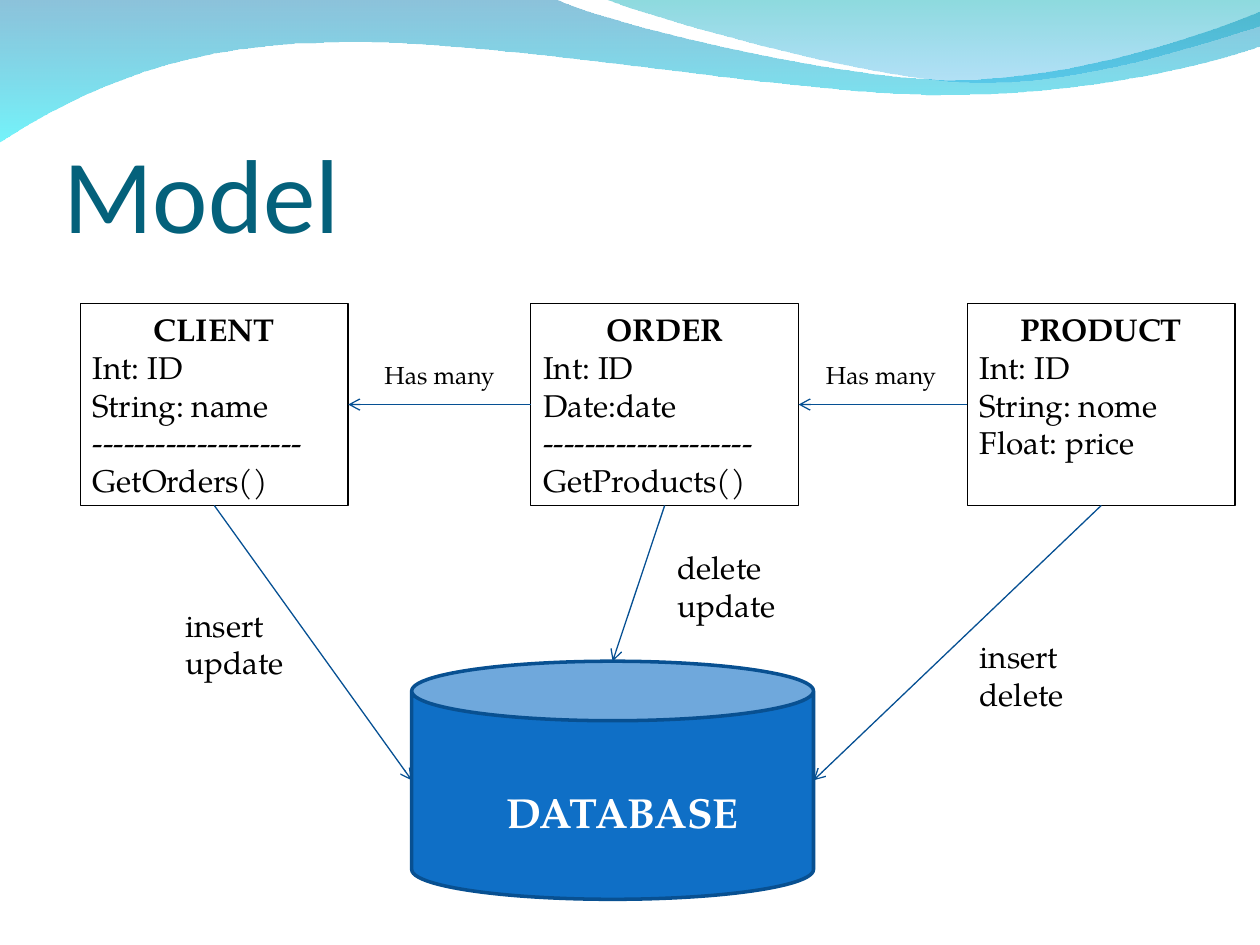
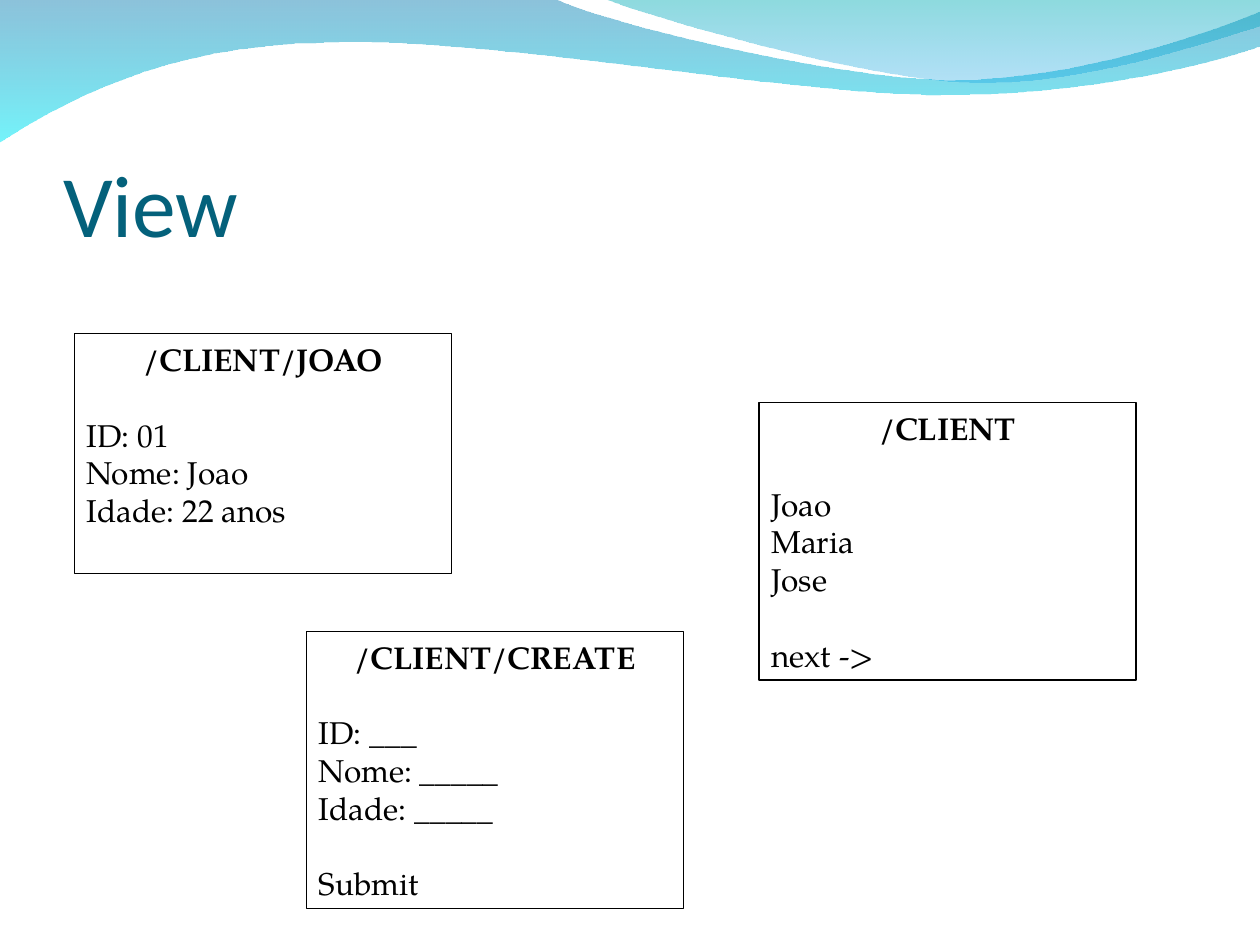
from dataclasses import dataclass

from lxml import etree
from pptx import Presentation
from pptx.dml.color import RGBColor
from pptx.enum.shapes import MSO_CONNECTOR, MSO_SHAPE
from pptx.enum.text import MSO_ANCHOR, MSO_AUTO_SIZE, PP_ALIGN
from pptx.oxml.ns import qn
from pptx.util import Cm, Pt

RECT, CAN = MSO_SHAPE.RECTANGLE, MSO_SHAPE.CAN
STRAIGHT = MSO_CONNECTOR.STRAIGHT
LEFT, CENTER = PP_ALIGN.LEFT, PP_ALIGN.CENTER
TOP, BOTTOM = MSO_ANCHOR.TOP, MSO_ANCHOR.BOTTOM
NO_FIT = MSO_AUTO_SIZE.NONE
SITE_LEFT, SITE_BOTTOM, SITE_RIGHT = 1, 2, 3
TITLE_ONLY = 5
WAVE_ID = 101


@dataclass(frozen=True)
class Theme:
    title_font: str = "Calibri"
    body_font: str = "TeX Gyre Pagella"
    title: str = "04617B"
    ink: str = "000000"
    white: str = "FFFFFF"
    arrow: str = "065093"
    store: str = "0F6FC6"
    store_edge: str = "085091"
    body_size: float = 18
    label_size: float = 14
    store_size: float = 24
    gap: float = 21.5
    thin: float = 0.75
    thick: float = 2


WAVES = [
    ([[(0, -0.03)], [(11.18, -0.03)],
      [(12.09, 0.43), (16.87, 1.6), (19.25, 1.6)],
      [(21.67, 1.6), (24.33, 0.66), (25.4, 0.23)],
      [(25.43, 0.91)],
      [(24.97, 1.12), (22.1, 1.93), (18.95, 1.91)],
      [(15.8, 1.91), (9.7, 0.71), (6.53, 0.86)],
      [(3.28, 0.89), (1.17, 2.11), (-0.03, 2.87)],
      [(0, -0.03)]],
     [("0079AF", 45), ("00EBF8", 55)]),
    ([[(12.17, -0.03)],
      [(12.93, 0.28), (17.32, 1.57), (19.53, 1.65)],
      [(21.74, 1.75), (24.41, 0.81), (25.4, 0.53)],
      [(25.4, 0)],
      [(12.17, -0.03)]],
     [("00ADB6", 45), ("009BE5", 30)]),
]


class Deck:
    def __init__(self, theme):
        self.theme = theme
        self.prs = Presentation()
        self.prs.slide_width, self.prs.slide_height = Cm(25.4), Cm(19.05)
        self.layout = self.prs.slide_layouts[TITLE_ONLY]
        self.s = None

    def slide(self, title, size):
        first = self.s is None
        self.s = self.prs.slides.add_slide(self.layout)
        if first:
            for layer, (outline, stops) in enumerate(WAVES):
                self.wave(outline, stops, layer)
        sp = self.s.shapes.title
        sp.left, sp.top, sp.width, sp.height = Cm(1.27), Cm(1.96), Cm(22.86), Cm(3.18)
        tf = self.frame(sp, BOTTOM, (0, 0.13, 0, 0))
        self.run(tf.paragraphs[0], title, size, self.theme.title, font=self.theme.title_font)

    def wave(self, outline, stops, layer):
        points = [(Cm(x), Cm(y)) for seg in outline for x, y in seg]
        builder = self.s.shapes.build_freeform(*points[0])
        builder.add_line_segments(points[1:], close=True)
        sp = builder.convert_to_shape()
        self.bend(sp, outline[1:])
        sp.shadow.inherit = False
        sp.line.fill.background()
        sp.fill.gradient()
        sp.fill.gradient_angle = 270
        for stop, (color, _) in zip(sp.fill.gradient_stops, stops):
            stop.color.rgb = RGBColor.from_string(color)
        for clr, (_, opacity) in zip(sp.element.iter(qn("a:srgbClr")), stops):
            etree.SubElement(clr, qn("a:alpha")).set("val", str(opacity * 1000))
        next(sp.element.iter(qn("p:cNvPr"))).set("id", str(WAVE_ID + layer))
        self.layout.shapes.element.insert(2 + layer, sp.element)

    def bend(self, sp, segments):
        lines = iter(list(sp.element.iter(qn("a:lnTo"))))
        for seg in segments:
            first, *rest = [next(lines) for _ in seg]
            if rest:
                curve = etree.Element(qn("a:cubicBezTo"))
                first.addprevious(curve)
                for line in (first, *rest):
                    curve.append(line[0])
                    line.getparent().remove(line)

    def frame(self, sp, anchor=TOP, insets=(0.25, 0.13, 0.25, 0.13)):
        tf = sp.text_frame
        tf.word_wrap = True
        tf.auto_size = NO_FIT
        tf.vertical_anchor = anchor
        tf.margin_left, tf.margin_top, tf.margin_right, tf.margin_bottom = map(Cm, insets)
        return tf

    def run(self, p, text, size, color, bold=False, align=LEFT, font=None):
        p.alignment = align
        r = p.add_run()
        r.text = text
        r.font.name = font or self.theme.body_font
        r.font.size = Pt(size)
        r.font.bold = bold
        r.font.color.rgb = RGBColor.from_string(color)

    def shape(self, kind, x, y, w, h, edge, weight, fill=None):
        sp = self.s.shapes.add_shape(kind, Cm(x), Cm(y), Cm(w), Cm(h))
        sp.shadow.inherit = False
        if fill:
            sp.fill.solid()
            sp.fill.fore_color.rgb = RGBColor.from_string(fill)
        else:
            sp.fill.background()
        sp.line.color.rgb = RGBColor.from_string(edge)
        sp.line.width = Pt(weight)
        return sp

    def card(self, x, y, w, h, heading, *groups):
        th = self.theme
        sp = self.shape(RECT, x, y, w, h, th.ink, th.thin)
        tf = self.frame(sp)
        self.run(tf.paragraphs[0], heading, th.body_size, th.ink, True, CENTER)
        for spaced, lines in groups:
            for i, line in enumerate(lines):
                p = tf.add_paragraph()
                if spaced and i == 0:
                    p.space_before = Pt(th.gap)
                self.run(p, line, th.body_size, th.ink)
        return sp

    def label(self, x, y, w, h, lines, size=None, color=None, bold=False):
        th = self.theme
        tf = self.frame(self.s.shapes.add_textbox(Cm(x), Cm(y), Cm(w), Cm(h)))
        for i, line in enumerate(lines):
            p = tf.add_paragraph() if i else tf.paragraphs[0]
            self.run(p, line, size or th.body_size, color or th.ink, bold)

    def arrow(self, start, site, end):
        c = self.s.shapes.add_connector(STRAIGHT, 0, 0, *end)
        c.begin_connect(start, site)
        c.line.color.rgb = RGBColor.from_string(self.theme.arrow)
        c.line.width = Pt(self.theme.thin)
        sp_pr = c.element.find(qn("p:spPr"))
        etree.SubElement(sp_pr.find(qn("a:ln")), qn("a:tailEnd")).set("type", "arrow")
        etree.SubElement(sp_pr, qn("a:effectLst"))
        return c


def model_slide(deck):
    th = deck.theme
    deck.slide("Model", 60)
    rule = "-" * 20
    entities = [
        (1.62, "CLIENT", ["Int: ID", "String: name", rule, "GetOrders()"]),
        (10.7, "ORDER", ["Int: ID", "Date:date", rule, "GetProducts()"]),
        (19.5, "PRODUCT", ["Int: ID", "String: nome", "Float: price"]),
    ]
    cards = [deck.card(x, 6.12, 5.4, 4.07, name, (False, lines))
             for x, name, lines in entities]
    for owner, item, x in zip(cards, cards[1:], (7.5, 16.4)):
        end = (owner.left + owner.width, owner.top + owner.height // 2)
        deck.arrow(item, SITE_LEFT, end).end_connect(owner, SITE_RIGHT)
        deck.label(x, 7.13, 2.8, 1.45, ["Has many"], th.label_size)

    store = deck.shape(CAN, 8.3, 13.33, 8.1, 4.8, th.store_edge, th.thick, th.store)
    deck.label(9.97, 15.72, 5.21, 2.29, ["DATABASE"], th.store_size, th.white, True)
    middle = store.top + store.height // 2
    ends = [(store.left, middle),
            (store.left + store.width // 2, store.top),
            (store.left + store.width, middle)]
    for card, end in zip(cards, ends):
        deck.arrow(card, SITE_BOTTOM, end)

    for x, y, w, lines in [(3.49, 12.08, 4.01, ["insert update"]),
                           (13.41, 10.92, 3.51, ["delete", "update"]),
                           (19.5, 12.72, 3.2, ["insert", "delete"])]:
        deck.label(x, y, w, 1.78, lines)


def view_slide(deck):
    deck.slide("View", 50)
    views = [
        (1.5, 6.73, 4.83, "/CLIENT/JOAO", ["ID: 01", "Nome: Joao", "Idade: 22 anos"], []),
        (15.3, 8.12, 5.59, "/CLIENT", ["Joao", "Maria", "Jose"], ["next ->"]),
        (6.18, 12.73, 5.59, "/CLIENT/CREATE",
         ["ID: ___", "Nome: _____", "Idade: _____"], ["Submit"]),
    ]
    for x, y, h, address, fields, action in views:
        deck.card(x, y, 7.6, h, address, (True, fields), (True, action))


def main():
    deck = Deck(Theme())
    model_slide(deck)
    view_slide(deck)
    deck.prs.save("out.pptx")


if __name__ == "__main__":
    main()
